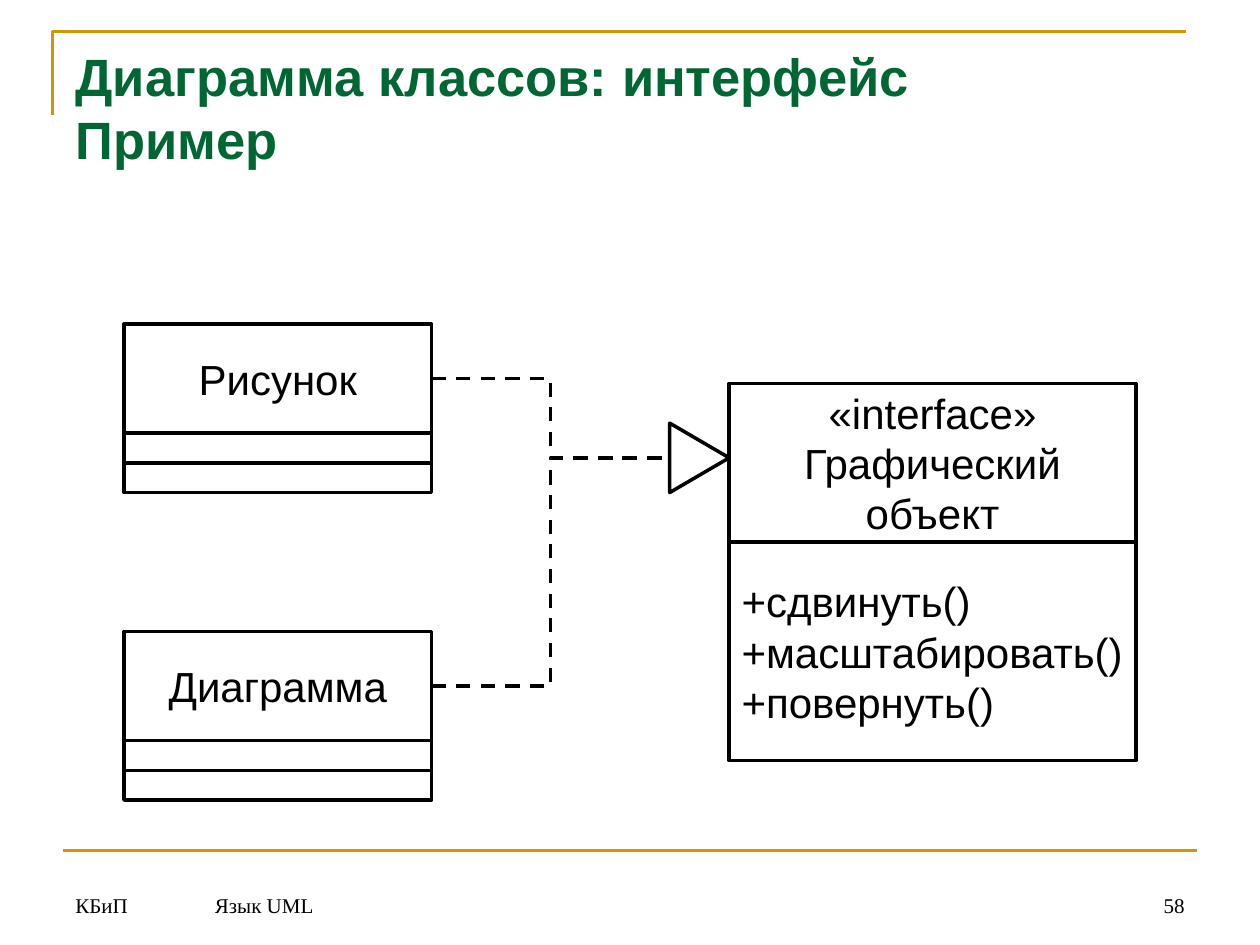
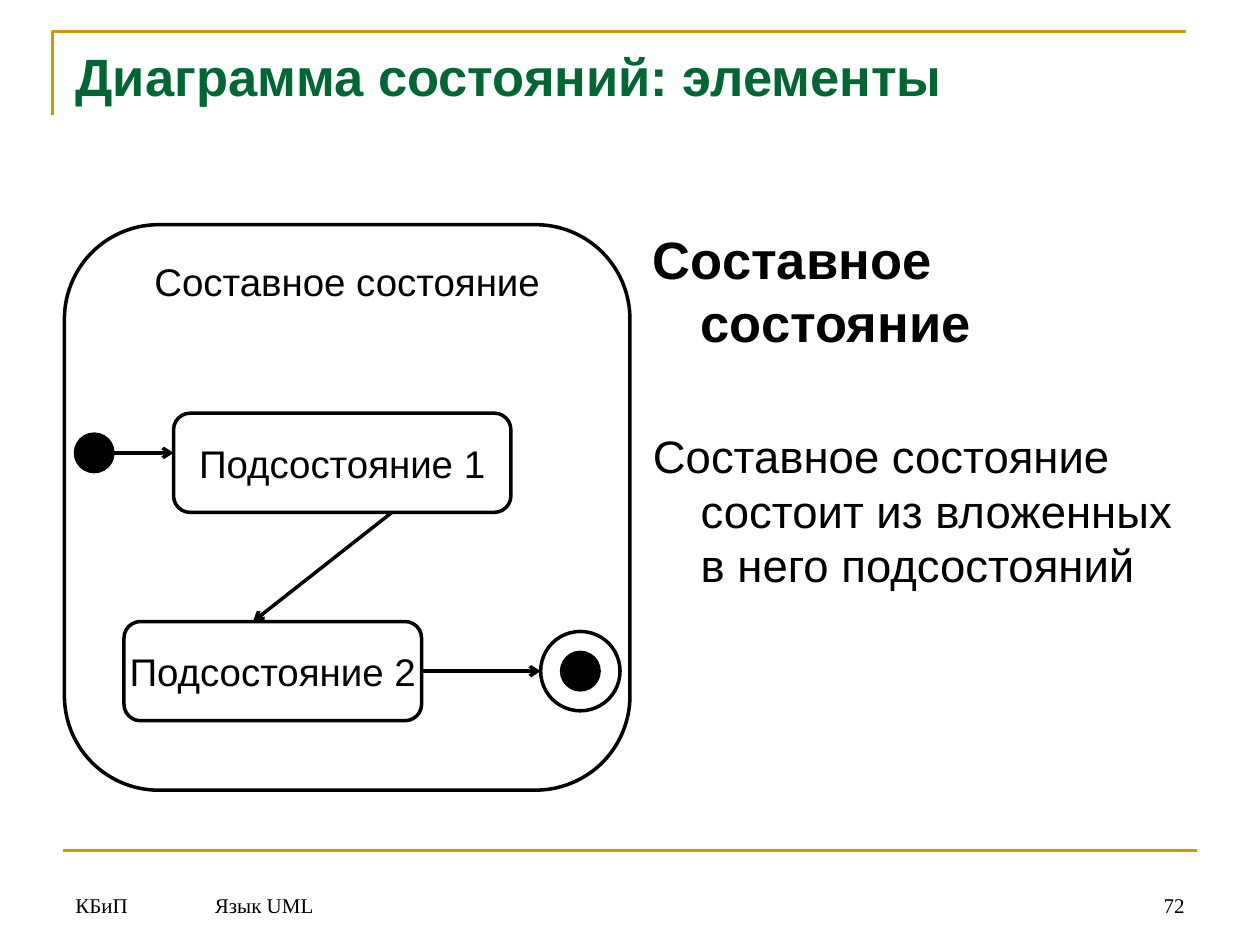
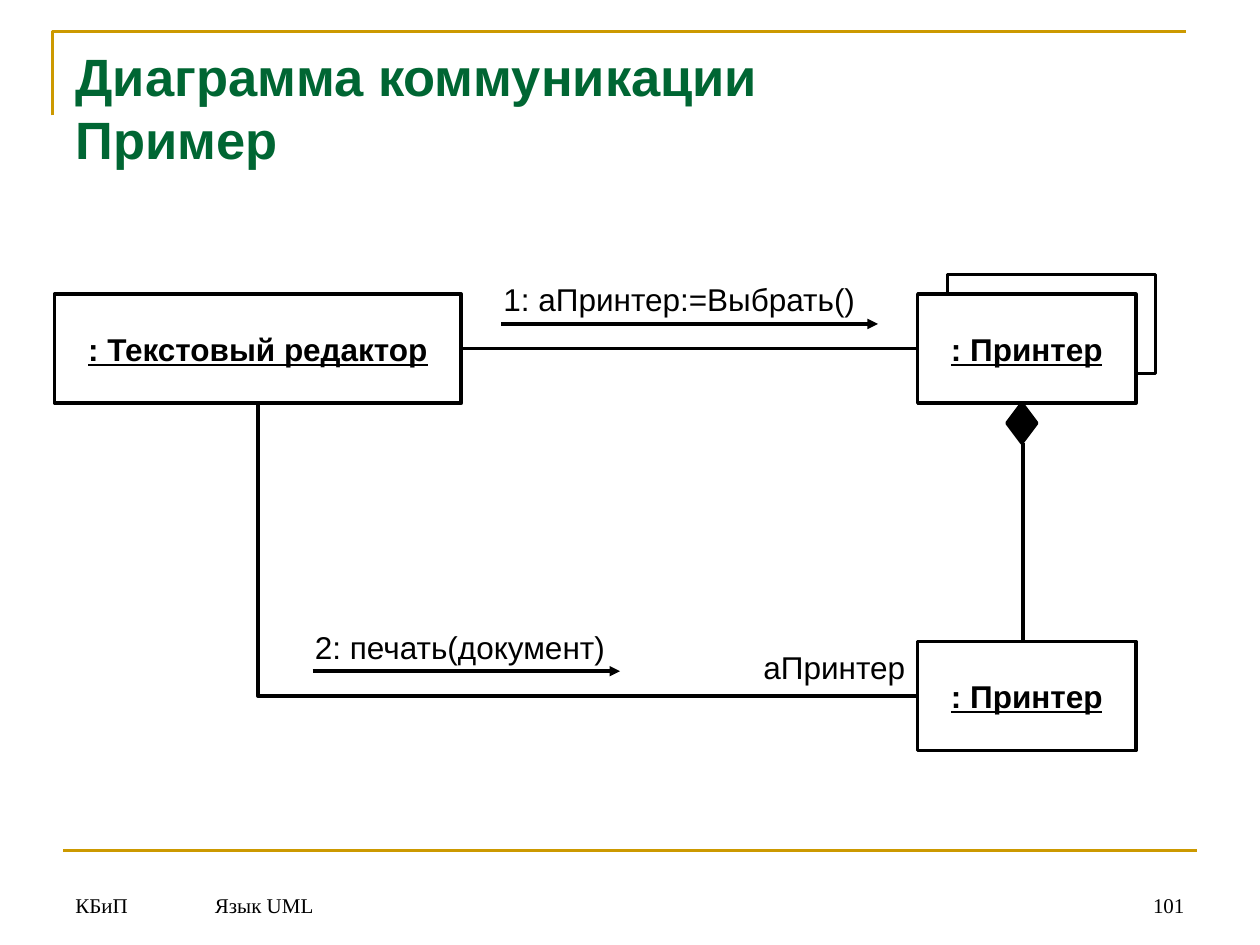
from dataclasses import dataclass
from typing import NamedTuple, Optional

from lxml import etree
from pptx import Presentation
from pptx import util as u
from pptx.dml import color
from pptx.enum import dml, shapes, text
from pptx.oxml import ns


# Theme: colours, fonts and sizes
@dataclass(frozen=True)
class Theme:
    ink: color.RGBColor = color.RGBColor(0x00, 0x00, 0x00)
    paper: color.RGBColor = color.RGBColor(0xFF, 0xFF, 0xFF)
    gold: color.RGBColor = color.RGBColor(0xCC, 0x99, 0x00)
    green: color.RGBColor = color.RGBColor(0x00, 0x66, 0x33)
    font: str = "Arial"
    footer_font: str = "Times New Roman"
    heading: int = 30
    body: int = 26
    class_name: int = 24
    state: int = 22
    label: int = 18
    footer: int = 12
    rule: float = 1.5
    stroke: float = 2
    thin: float = 0.75


T = Theme()
SHAPE = shapes.MSO_SHAPE
LEFT, CENTER, RIGHT = text.PP_ALIGN.LEFT, text.PP_ALIGN.CENTER, text.PP_ALIGN.RIGHT
TOP, MIDDLE, BOTTOM = (text.MSO_ANCHOR.TOP, text.MSO_ANCHOR.MIDDLE,
                       text.MSO_ANCHOR.BOTTOM)
SIDE_TOP, SIDE_LEFT, SIDE_BOTTOM, SIDE_RIGHT = range(4)


# Grids: twelve columns an inch for the page, 2 mm cells for the diagrams
class Cell(NamedTuple):
    col: float
    row: float
    cols: float = 0
    rows: float = 0


@dataclass(frozen=True)
class Grid:
    step: float
    left: int = 0
    top: int = 0

    def point(self, col: float, row: float) -> tuple[int, int]:
        return round(self.left + col * self.step), round(self.top + row * self.step)

    def box(self, c: Cell) -> tuple[int, int, int, int]:
        return (*self.point(c.col, c.row),
                round(c.cols * self.step), round(c.rows * self.step))


PAGE = Grid(u.Inches(1) / 12)
DIAGRAM = Grid(u.Cm(0.2), u.Cm(0.1), u.Cm(0.13))


@dataclass(frozen=True)
class Style:
    size: int
    font: str = T.font
    ink: color.RGBColor = T.ink
    bold: bool = False
    underline: bool = False
    align: text.PP_ALIGN = LEFT
    anchor: text.MSO_ANCHOR = TOP
    wrap: bool = False


HEADING = Style(T.heading, ink=T.green, bold=True, wrap=True)
FOOTER = Style(T.footer, T.footer_font, anchor=BOTTOM, wrap=True)
PAGE_NUMBER = Style(T.footer, T.footer_font, align=RIGHT, anchor=BOTTOM, wrap=True)
CLASS_NAME = Style(T.class_name, align=CENTER, anchor=MIDDLE)
OPERATIONS = Style(T.class_name, anchor=MIDDLE)
COMPOSITE = Style(T.state, align=CENTER)
STATE = Style(T.state, align=CENTER, anchor=MIDDLE)
OBJECT = Style(T.label, bold=True, underline=True, align=CENTER, anchor=MIDDLE)
LABEL = Style(T.label)
BODY = Style(T.body, wrap=True)


@dataclass(frozen=True)
class Node:
    cell: Cell
    words: str = ""
    style: Style = CLASS_NAME
    kind: shapes.MSO_SHAPE = SHAPE.RECTANGLE
    fill: Optional[color.RGBColor] = None
    weight: float = T.stroke
    turn: float = 0


# Drawing
def format_runs(p, style: Style) -> None:
    p.alignment = style.align
    for r in p.runs:
        f = r.font
        f.name, f.size = style.font, u.Pt(style.size)
        f.bold, f.underline = style.bold, style.underline
        f.color.rgb = style.ink


def write(tf, words: str, style: Style) -> None:
    tf.auto_size = text.MSO_AUTO_SIZE.NONE
    tf.word_wrap, tf.vertical_anchor = style.wrap, style.anchor
    tf.margin_left = tf.margin_right = u.Inches(0.1)
    tf.margin_top = tf.margin_bottom = u.Inches(0.05)
    tf.text = words
    for p in tf.paragraphs:
        format_runs(p, style)


def outline(line, ink: color.RGBColor, weight: float) -> None:
    line.color.rgb, line.width = ink, u.Pt(weight)


def add_text(slide, grid: Grid, cell: Cell, words: str, style: Style):
    sp = slide.shapes.add_textbox(*grid.box(cell))
    write(sp.text_frame, words, style)
    return sp


def add_node(slide, node: Node):
    sp = slide.shapes.add_shape(node.kind, *DIAGRAM.box(node.cell))
    sp.shadow.inherit = False
    sp.rotation = node.turn
    if node.fill is None:
        sp.fill.background()
    else:
        sp.fill.solid()
        sp.fill.fore_color.rgb = node.fill
    outline(sp.line, T.ink, node.weight)
    if node.words:
        write(sp.text_frame, node.words, node.style)
    return sp


def add_line(slide, start: tuple, end: tuple, grid: Grid = DIAGRAM,
             ink: color.RGBColor = T.ink, weight: float = T.stroke, arrow: str = "",
             dashed: bool = False, elbow: bool = False):
    """Each end is a grid point, or a shape with the number of its side."""
    kind = shapes.MSO_CONNECTOR.ELBOW if elbow else shapes.MSO_CONNECTOR.STRAIGHT
    joined = [hasattr(e[0], "shape_type") for e in (start, end)]
    points = [(0, 0) if j else grid.point(*e) for j, e in zip(joined, (start, end))]
    cx = slide.shapes.add_connector(kind, *points[0], *points[1])
    if joined[0]:
        cx.begin_connect(*start)
    if joined[1]:
        cx.end_connect(*end)
    outline(cx.line, ink, weight)
    if dashed:
        cx.line.dash_style = dml.MSO_LINE.DASH
    if arrow:
        etree.SubElement(cx.line._get_or_add_ln(), ns.qn("a:tailEnd"), type=arrow)
    etree.SubElement(cx._element.spPr, ns.qn("a:effectLst"))
    return cx


# What every slide shares: corner rule, footer rule, footers and title
def add_page(prs, heading: str, number: int):
    slide = prs.slides.add_slide(prs.slide_layouts[5])
    pen = slide.shapes.build_freeform(*PAGE.point(5, 11))
    pen.add_line_segments([PAGE.point(5, 3), PAGE.point(113, 3)], close=False)
    corner = pen.convert_to_shape()
    corner.shadow.inherit = False
    corner.fill.background()
    outline(corner.line, T.gold, T.rule)
    add_line(slide, (6, 81), (114, 81), PAGE, T.gold, T.rule)
    for col, cols, words, style in (
        (6, 11.5, "КБиП", FOOTER),
        (19.3, 86.9, "Язык UML", FOOTER),
        (107.3, 6.7, str(number), PAGE_NUMBER),
    ):
        add_text(slide, PAGE, Cell(col, 82, cols, 6), words, style)
    title = slide.shapes.title
    title.left, title.top, title.width, title.height = PAGE.box(Cell(6, 3.6, 108, 15))
    write(title.text_frame, heading, HEADING)
    return slide


# Slide: interface and the classes that realise it
def add_class(slide, col: float, row: float, name: str):
    name_box = add_node(slide, Node(Cell(col, row, 31, 11), name))
    for i in range(2):
        add_node(slide, Node(Cell(col, row + 11 + 3 * i, 31, 3)))
    return name_box


def interface_slide(prs) -> None:
    slide = add_page(prs, "Диаграмма классов: интерфейс\vПример", 58)
    classes = [add_class(slide, 12, row, name)
               for row, name in ((32, "Рисунок"), (63, "Диаграмма"))]
    for node in (
        Node(Cell(73, 38, 41, 16), "«interface»\nГрафический\nобъект"),
        Node(Cell(73, 54, 41, 22),
             "+сдвинуть()\n+масштабировать()\n+повернуть()", OPERATIONS),
        Node(Cell(66.5, 42.5, 7, 6), kind=SHAPE.ISOSCELES_TRIANGLE, turn=90),
    ):
        add_node(slide, node)
    for name_box in classes:
        add_line(slide, (name_box, SIDE_RIGHT), (67, 45.5), dashed=True, elbow=True)


# Slide: composite state
def state_slide(prs) -> None:
    slide = add_page(prs, "Диаграмма состояний: элементы", 72)
    rounded = SHAPE.ROUNDED_RECTANGLE
    add_node(slide, Node(Cell(6, 22, 57, 57), "Составное состояние", COMPOSITE, rounded))
    add_node(slide, Node(Cell(17, 41, 34, 10), "Подсостояние 1", STATE, rounded))
    second = add_node(slide, Node(Cell(12, 62, 30, 10), "Подсостояние 2", STATE, rounded))
    for col, row in ((7, 43), (56, 65)):
        add_node(slide, Node(Cell(col, row, 4, 4), kind=SHAPE.OVAL, fill=T.ink,
                             weight=T.thin))
    add_node(slide, Node(Cell(54, 63, 8, 8), kind=SHAPE.OVAL))
    for start, end in (
        ((11, 45), (17, 45)),
        ((39, 51), (25, 62)),
        ((second, SIDE_RIGHT), (54, 67)),
    ):
        add_line(slide, start, end, arrow="arrow")

    # Definition beside the diagram, with a hanging indent
    body = add_text(slide, PAGE, Cell(61, 21, 53, 59.4),
                    "Составное состояние\n"
                    "Составное состояние состоит из вложенных в него подсостояний", BODY)
    term, meaning = body.text_frame.paragraphs
    format_runs(term, Style(T.heading, bold=True))
    meaning.space_before = u.Pt(43)
    for p in (term, meaning):
        pPr = p._p.get_or_add_pPr()
        pPr.set("marL", str(u.Inches(0.38)))
        pPr.set("indent", str(-u.Inches(0.38)))


# Slide: messages between objects
def communication_slide(prs) -> None:
    slide = add_page(prs, "Диаграмма коммуникации\vПример", 101)
    add_node(slide, Node(Cell(95, 27, 21, 10)))
    editor = add_node(slide, Node(Cell(5, 29, 41, 11), ": Текстовый редактор", OBJECT))
    printers, printer = (
        add_node(slide, Node(Cell(92, row, 22, 11), ": Принтер", OBJECT, fill=fill))
        for row, fill in ((29, T.paper), (64, None))
    )
    add_node(slide, Node(Cell(101, 40, 3, 4), kind=SHAPE.DIAMOND, fill=T.ink))
    add_line(slide, (102.6, 44), (102.6, 64))
    add_line(slide, (editor, SIDE_RIGHT), (printers, SIDE_LEFT))
    link = add_line(slide, (printer, SIDE_LEFT), (editor, SIDE_BOTTOM), elbow=True)
    link._element.spPr.find(ns.qn("a:prstGeom")).set("prst", "bentConnector2")
    for start, end, row in ((50, 88, 32), (31, 62, 67)):
        add_line(slide, (start, row), (end, row), arrow="triangle")
    for cell, words in (
        (Cell(49, 27, 38, 5), "1: аПринтер:=Выбрать()"),
        (Cell(30, 62, 32, 5), "2: печать(документ)"),
        (Cell(75.2, 64, 17, 5), "аПринтер"),
    ):
        add_text(slide, DIAGRAM, cell, words, LABEL)


def main() -> None:
    prs = Presentation()
    prs.slide_width, prs.slide_height = u.Inches(10), u.Inches(7.5)
    interface_slide(prs)
    state_slide(prs)
    communication_slide(prs)
    prs.save("out.pptx")


if __name__ == "__main__":
    main()
